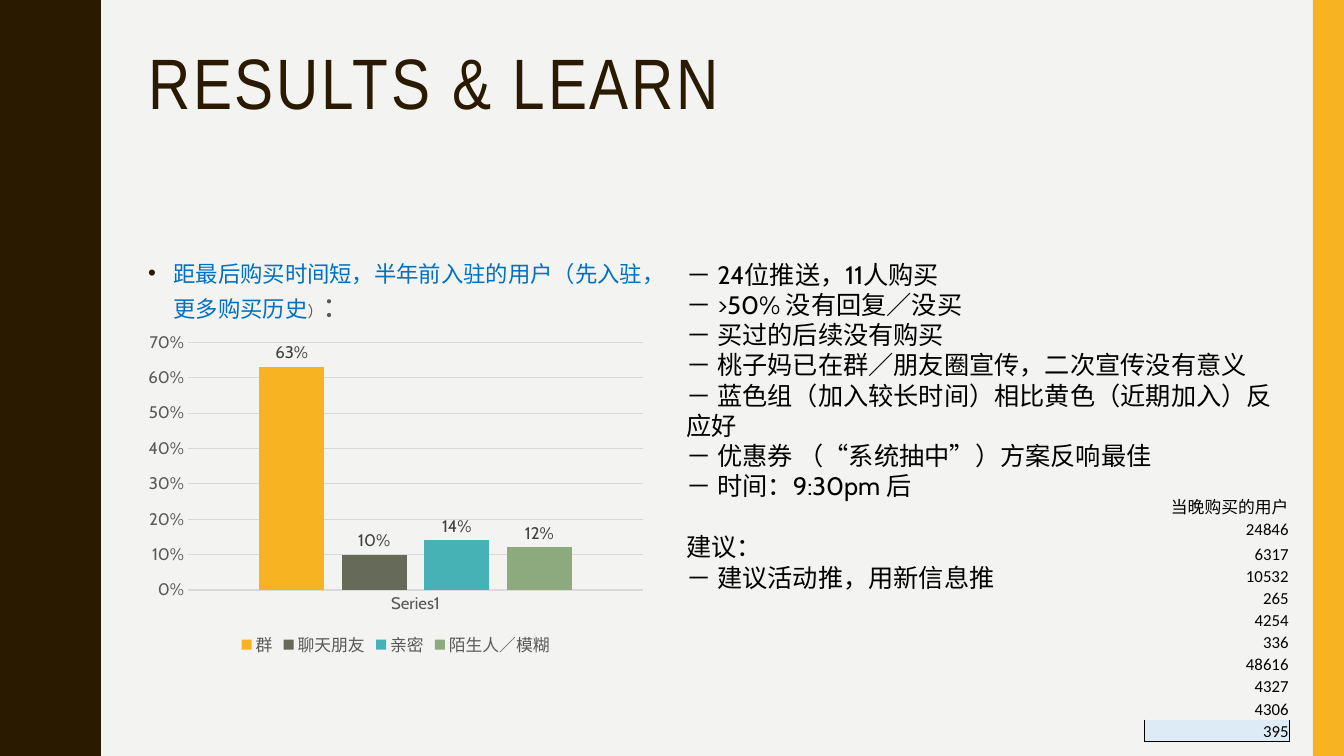
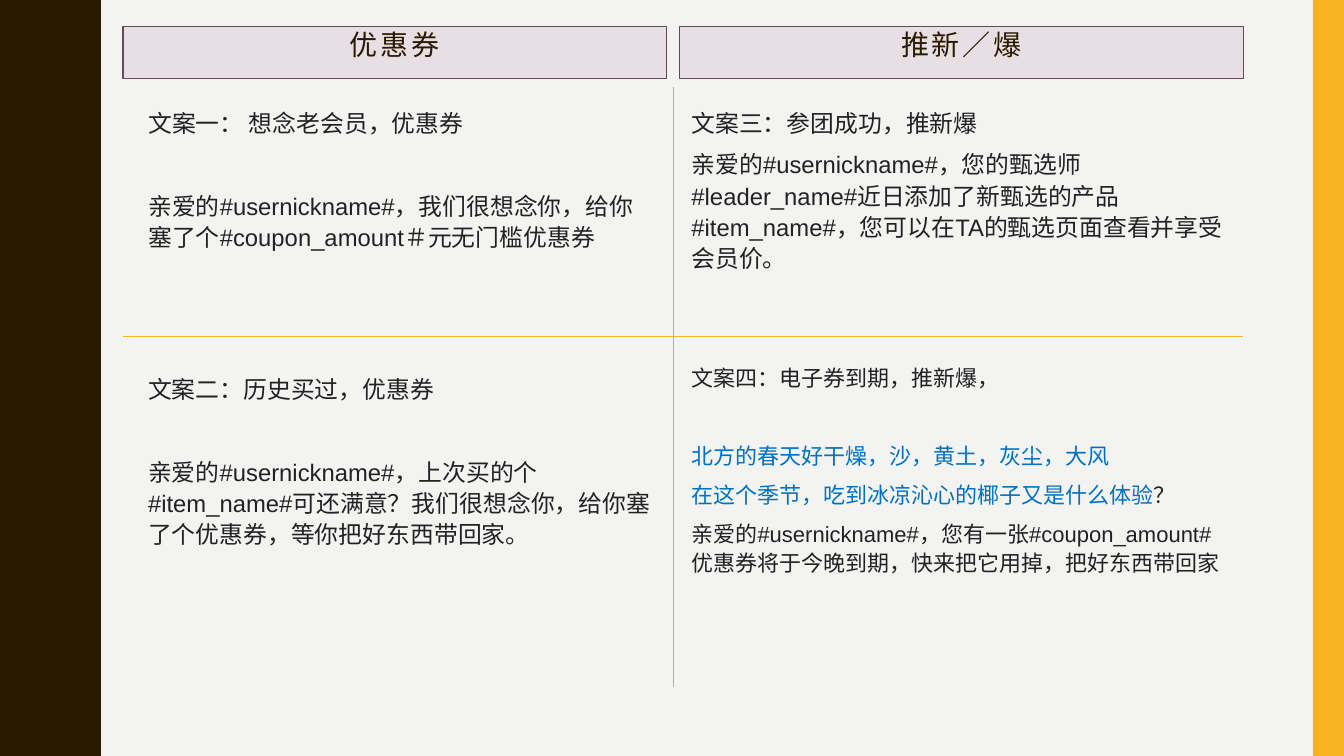
from typing import NamedTuple

from lxml import etree
from pptx import Presentation
from pptx import util as u
from pptx.chart import data as chart_data
from pptx.dml import color
from pptx.enum import chart as ch, shapes, text
from pptx.oxml import ns

BROWN, GOLD, PAPER = "2A1A00", "F8B323", "F3F3F2"
BLUE, INK, GREY, RULE = "0070C0", "222222", "595959", "D9D9D9"
BLACK, MAUVE, PLUM, ICE, SILVER = "000000", "E7DFE4", "624A58", "DDEBF7", "B0B0B0"
LEFT, CENTER, RIGHT = text.PP_ALIGN.LEFT, text.PP_ALIGN.CENTER, text.PP_ALIGN.RIGHT


class Box(NamedTuple):
    left: float
    top: float
    width: float
    height: float

    def inset(self, dx, dy, width, height):
        return Box(self.left + dx, self.top + dy, width, height)

    def emu(self):
        return [u.Inches(length) for length in self]


SLIDE = Box(0, 0, 13.33, 7.5)


def rgb(hex_code):
    return color.RGBColor.from_string(hex_code)


def paint(fill, hex_code):
    fill.solid()
    fill.fore_color.rgb = rgb(hex_code)


def style_font(font, face, size, hex_code):
    font.name, font.size, font.bold = face, u.Pt(size), False
    font.color.rgb = rgb(hex_code)


def xml_child(parent, tag, **attributes):
    return etree.SubElement(parent, ns.qn(tag), attributes)


def set_bullet(paragraph, bullet):
    props = paragraph._p.get_or_add_pPr()
    indent = u.Inches(0.25) if bullet else 0
    props.set("marL", str(indent))
    props.set("indent", str(-indent))
    if bullet:
        xml_child(xml_child(props, "a:buClr"), "a:srgbClr", val=BROWN)
        xml_child(props, "a:buChar", char=bullet)
    else:
        xml_child(props, "a:buNone")


def write(frame, paragraphs, face, size, hex_code, align=LEFT, spacing=1.0,
          tracking=0, bullet=None):
    frame.word_wrap = True
    frame.auto_size = text.MSO_AUTO_SIZE.NONE
    frame.vertical_anchor = text.MSO_ANCHOR.TOP
    for number, (before, runs) in enumerate(paragraphs):
        paragraph = frame.add_paragraph() if number else frame.paragraphs[0]
        set_bullet(paragraph, bullet)
        paragraph.alignment, paragraph.line_spacing = align, spacing
        paragraph.space_before = u.Pt(before)
        for words, *look in runs:
            run = paragraph.add_run()
            run.text = words
            run_color, run_size = (look + [None, None])[:2]
            style_font(run.font, face, run_size or size, run_color or hex_code)
            if tracking:
                run._r.get_or_add_rPr().set("spc", str(tracking * 100))


def place(shape, box):
    shape.left, shape.top, shape.width, shape.height = box.emu()
    return shape


def write_title(shape, words, size, align=LEFT):
    write(shape.text_frame, [(0, [(words,)])], "Arial Narrow", size, BROWN,
          align, 0.9, tracking=2)


def plain_shape(shape, fill):
    shape.shadow.inherit = False
    paint(shape.fill, fill)
    shape.line.fill.background()
    return shape


def wave_points():
    half = [(0.78, 0), (0.78, 0.07), (0.79, 0.14), (0.8, 0.2), (0.81, 0.25),
            (0.83, 0.29), (0.85, 0.33), (0.87, 0.38), (0.89, 0.42), (0.91, 0.46),
            (0.93, 0.5), (0.95, 0.55), (0.96, 0.61), (0.97, 0.68), (0.97, 0.75)]
    crest = half + [(x, 1.5 - y) for x, y in reversed(half[:-1])]
    return [(x, y + 1.5 * turn) for turn in range(5) for x, y in crest]


def dress_master(prs, slide):
    master = prs.slide_master
    paint(master.background.fill, PAPER)
    outline = slide.shapes.build_freeform(0, 0, scale=u.Inches(1))
    outline.add_line_segments(wave_points() + [(0, SLIDE.height)], close=True)
    wave = plain_shape(outline.convert_to_shape(), BROWN)
    edge = SLIDE.inset(13.02, 0, 0.31, SLIDE.height)
    band = plain_shape(slide.shapes.add_shape(
        shapes.MSO_SHAPE.RECTANGLE, *edge.emu()), GOLD)
    for position, decoration in enumerate((wave, band), 2):
        master.element.cSld.spTree.insert(position, decoration.element)


def channel_chart(slide, box):
    channels = [("群", 0.63, GOLD), ("聊天朋友", 0.1, "656A59"),
                ("亲密", 0.14, "46B2B5"), ("陌生人／模糊", 0.12, "8CAA7E")]
    shares = chart_data.CategoryChartData(number_format="0%")
    shares.categories = ["Series1"]
    for name, share, _ in channels:
        shares.add_series(name, [share])
    chart = slide.shapes.add_chart(
        ch.XL_CHART_TYPE.COLUMN_CLUSTERED, *box.emu(), shares).chart
    style_font(chart.font, "Cabin", 12, GREY)
    chart.has_title = False
    chart.has_legend = True
    chart.legend.position = ch.XL_LEGEND_POSITION.BOTTOM
    chart.legend.include_in_layout = False
    style_font(chart.legend.font, "Cabin", 12, GREY)

    for axis in (chart.category_axis, chart.value_axis):
        axis.major_tick_mark = axis.minor_tick_mark = ch.XL_TICK_MARK.NONE
        style_font(axis.tick_labels.font, "Cabin", 12, GREY)
    percent = chart.value_axis
    percent.minimum_scale, percent.maximum_scale, percent.major_unit = 0, 0.7, 0.1
    percent.tick_labels.number_format = "0%"
    percent.tick_labels.number_format_is_linked = False
    percent.format.line.fill.background()
    percent.has_major_gridlines = True
    for line in (chart.category_axis.format.line, percent.major_gridlines.format.line):
        paint(line.fill, RULE)
        line.width = u.Pt(0.75)

    plot = chart.plots[0]
    plot.gap_width, plot.overlap, plot.vary_by_categories = 219, -27, False
    for series, (_, _, hex_code) in zip(plot.series, channels):
        paint(series.format.fill, hex_code)
        labels = series.data_labels
        labels.show_value = True
        labels.number_format, labels.number_format_is_linked = "0%", False
        labels.position = ch.XL_LABEL_POSITION.OUTSIDE_END
        style_font(labels.font, "Cabin", 12, "404040")


def buyers_table(slide, box):
    buyers = ["当晚购买的用户", "24846", "6317", "10532", "265", "4254", "336",
              "48616", "4327", "4306", "395"]
    frame = slide.shapes.add_table(len(buyers), 1, *box.emu())
    table = frame.table
    table.first_row = table.horz_banding = False
    for style in frame.element.iter(ns.qn("a:tableStyleId")):
        style.text = "{2D5ABB26-0587-4C30-8999-92F81FD0307C}"
    for number, buyer in enumerate(buyers):
        table.rows[number].height = u.Inches(0.24 if number == 2 else 0.22)
        cell = table.cell(number, 0)
        cell.margin_left = cell.margin_right = cell.margin_top = u.Inches(0.01)
        cell.margin_bottom = 0
        write(cell.text_frame, [(0, [(buyer,)])], "Calibri", 12, BLACK, RIGHT)
        cell.vertical_anchor = text.MSO_ANCHOR.BOTTOM
        if number < len(buyers) - 1:
            cell.fill.background()
            continue
        for side in ("a:lnL", "a:lnR", "a:lnB"):
            border = xml_child(cell._tc.get_or_add_tcPr(), side, w=str(u.Pt(0.5)))
            xml_child(xml_child(border, "a:solidFill"), "a:srgbClr", val=BLACK)
        paint(cell.fill, ICE)


def findings(slide, box):
    notes = ["－ 24位推送，11人购买", "－ >50% 没有回复／没买", "－ 买过的后续没有购买",
             "－ 桃子妈已在群／朋友圈宣传，二次宣传没有意义",
             "－ 蓝色组（加入较长时间）相比黄色（近期加入）反应好",
             "－ 优惠券 （“系统抽中”）方案反响最佳", "－ 时间：9:30pm 后",
             "建议：", "－ 建议活动推，用新信息推"]
    note_box = slide.shapes.add_textbox(*box.emu())
    write(note_box.text_frame,
          [(22 if note == "建议：" else 0, [(note,)]) for note in notes],
          "Cabin", 18, BLACK)


def results_slide(slide, box):
    write_title(place(slide.shapes.title, box.inset(0, 0, 11.13, 1.63)),
                "RESULTS & LEARN", 51)
    audience = place(slide.placeholders[1], box.inset(0, 2.08, 5.51, 3.93))
    write(audience.text_frame,
          [(0, [("距最后购买时间短，半年前入驻的用户（先入驻，更多购买历史", BLUE),
                ("）", GREY, 11), ("：", GREY, 20)])],
          "Cabin", 16, BLUE, spacing=1.1, bullet="•")
    channel_chart(slide, box.inset(0, 2.81, 5.11, 3.33))
    findings(slide, box.inset(5.34, 2.1, 6.08, 3.43))
    buyers_table(slide, box.inset(9.98, 4.47, 1.44, 2.46))


def column_header(shape, words):
    shape.shadow.inherit = False
    paint(shape.fill, MAUVE)
    paint(shape.line.fill, PLUM)
    shape.line.width = u.Pt(0.75)
    write_title(shape, words, 20, CENTER)


def divider(slide, start, end, hex_code):
    line = slide.shapes.add_connector(
        shapes.MSO_CONNECTOR.STRAIGHT, *[u.Inches(v) for v in start + end])
    paint(line.line.fill, hex_code)
    line.line.width = u.Pt(0.5)
    xml_child(line.element.spPr, "a:effectLst")


def messages_slide(slide, box):
    left = box.inset(0, 0, 5.39, 0.52)
    right = box.inset(5.52, 0, 5.59, 0.52)
    column_header(place(slide.shapes.title, left), "优惠券")
    column_header(slide.shapes.add_shape(
        shapes.MSO_SHAPE.RECTANGLE, *right.emu()), "推新／爆")

    miss_you = [
        (0, [("文案一： 想念老会员，优惠券",)]),
        (36.5, [("亲爱的#usernickname#，我们很想念你，给你塞了个#coupon_amount＃元无门槛优惠券",)])]
    joined = [
        (0, [("文案三：参团成功，推新爆",)]),
        (7, [("亲爱的#usernickname#，您的甄选师#leader_name#近日添加了新甄选的产品 "
              "#item_name#，您可以在TA的甄选页面查看并享受会员价。",)])]
    bought = [
        (0, [("文案二：历史买过，优惠券",)]),
        (36.5, [("亲爱的#usernickname#，上次买的个#item_name#可还满意？"
                 "我们很想念你，给你塞了个优惠券，等你把好东西带回家。",)])]
    expiring = [
        (0, [("文案四：电子券到期，推新爆，",)]),
        (35, [("北方的春天好干燥，沙，黄土，灰尘，大风", BLUE)]),
        (7, [("在这个季节，吃到冰凉沁心的椰子又是什么体验", BLUE), ("？",)]),
        (7, [("亲爱的#usernickname#，您有一张#coupon_amount#优惠券将于今晚到期，"
              "快来把它用掉，把好东西带回家",)])]
    quadrants = [(miss_you, left.inset(0.15, 0.74, 5.24, 2.36), 17),
                 (joined, right.inset(0.02, 0.74, 5.57, 2.36), 17),
                 (bought, left.inset(0.15, 3.38, 5.24, 2.36), 17),
                 (expiring, right.inset(0.02, 3.28, 5.57, 2.46), 15.7)]
    for message, area, size in quadrants:
        if message is miss_you:
            message_box = place(slide.placeholders[1], area)
        else:
            message_box = slide.shapes.add_textbox(*area.emu())
        write(message_box.text_frame, message, "Arial", size, INK, spacing=1.1)

    middle, center = box.top + 3.08, box.left + 5.46
    divider(slide, (box.left, middle), (box.left + box.width, middle), GOLD)
    divider(slide, (center, box.top + 0.6), (center, box.top + box.height), SILVER)


def main():
    prs = Presentation()
    prs.slide_width, prs.slide_height = SLIDE.emu()[2:]
    layout = prs.slide_layouts[1]
    results = prs.slides.add_slide(layout)
    dress_master(prs, results)
    results_slide(results, Box(1.37, 0.42, 11.42, 6.93))
    messages_slide(prs.slides.add_slide(layout), Box(1.22, 0.26, 11.11, 6.56))
    prs.save("out.pptx")


if __name__ == "__main__":
    main()
